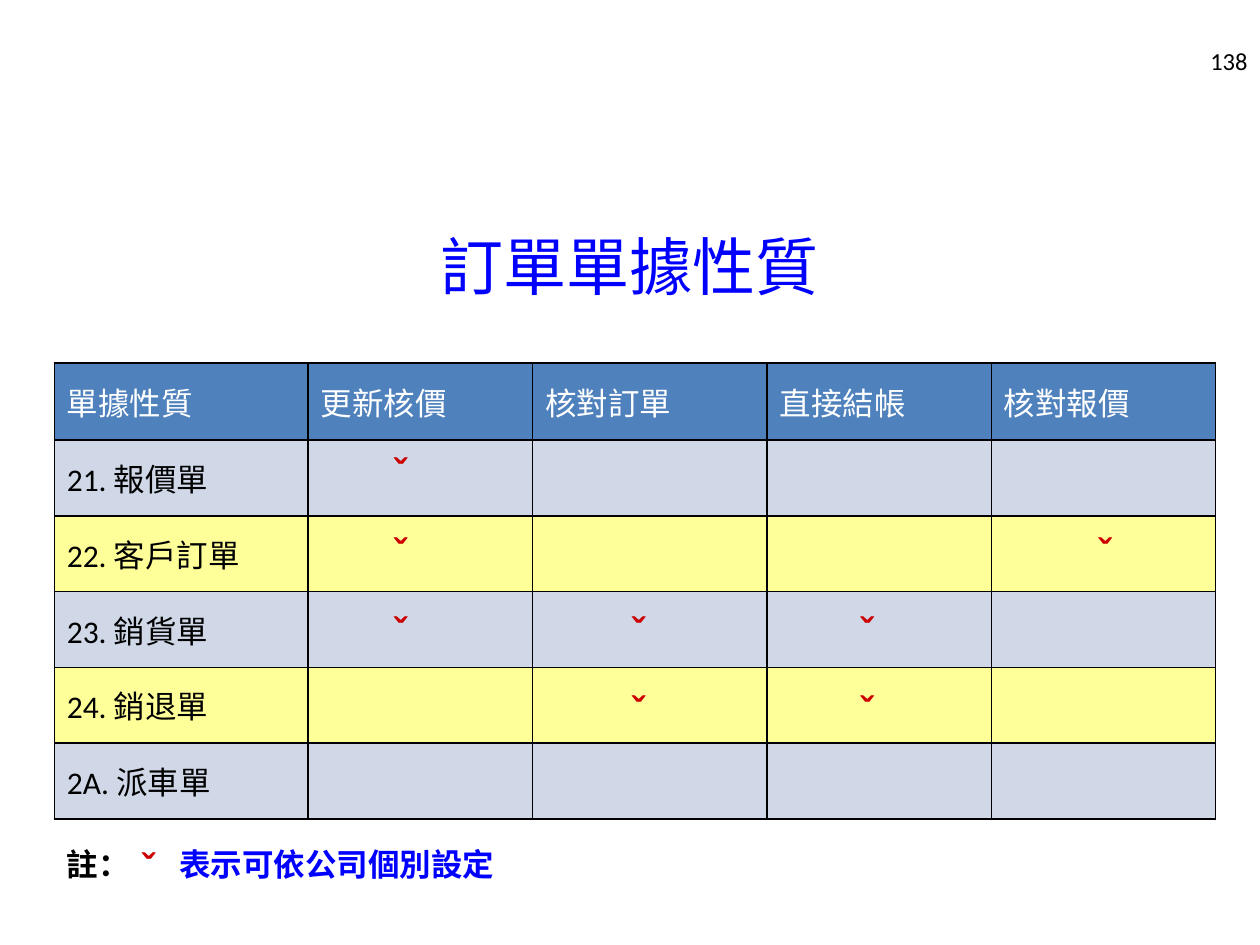
import pptx
import pptx.util
import pptx.dml.color
import pptx.enum.text
import pptx.oxml
import pptx.oxml.ns

Pt = pptx.util.Pt
RGBColor = pptx.dml.color.RGBColor
PP_ALIGN = pptx.enum.text.PP_ALIGN
MSO_ANCHOR = pptx.enum.text.MSO_ANCHOR

BLACK = RGBColor(0x00, 0x00, 0x00)
WHITE = RGBColor(0xFF, 0xFF, 0xFF)
BLUE = RGBColor(0x00, 0x00, 0xFF)
RED = RGBColor(0xCC, 0x00, 0x00)
HEADER_FILL = RGBColor(0x4F, 0x81, 0xBD)
ROW_FILLS = [RGBColor(0xD0, 0xD8, 0xE8), RGBColor(0xFF, 0xFF, 0x99)]


def style(paragraph, name, size, color, bold=False):
    paragraph.font.name = name
    paragraph.font.size = Pt(size)
    paragraph.font.color.rgb = color
    paragraph.font.bold = bold


def add_tick(left, top):
    tick = slide.shapes.add_textbox(Pt(left), Pt(top), Pt(34), Pt(34)).text_frame
    tick.word_wrap = True
    tick.text = "ˇ"
    style(tick.paragraphs[0], "Arial", 22, RED, True)


prs = pptx.Presentation()
prs.slide_width = Pt(720)
prs.slide_height = Pt(540)
slide = prs.slides.add_slide(prs.slide_layouts[5])

page_number = slide.shapes.add_textbox(Pt(552), Pt(20), Pt(168), Pt(29)).text_frame
page_number.word_wrap = True
page_number.vertical_anchor = MSO_ANCHOR.MIDDLE
page_number.text = "138"
page_number.paragraphs[0].alignment = PP_ALIGN.RIGHT
style(page_number.paragraphs[0], "Calibri", 14, BLACK)

title = slide.shapes.title
title.left, title.top, title.width, title.height = Pt(16.5), Pt(106.5), Pt(686), Pt(90)
title.text_frame.text = "訂單單據性質"
title.text_frame.vertical_anchor = MSO_ANCHOR.MIDDLE
title.text_frame.paragraphs[0].alignment = PP_ALIGN.CENTER
style(title.text_frame.paragraphs[0], "Times New Roman", 36, BLUE)

headers = ["單據性質", "更新核價", "核對訂單", "直接結帳", "核對報價"]
documents = ["21. 報價單", "22. 客戶訂單", "23. 銷貨單", "24. 銷退單", "2A. 派車單"]
column_widths = [145, 128.25, 134, 128.25, 128.25]
row_heights = [44] + [43.3] * len(documents)
settings = slide.shapes.add_table(
    len(row_heights), len(headers), Pt(31), Pt(207.5),
    Pt(sum(column_widths)), Pt(sum(row_heights))).table
for column, width in zip(settings.columns, column_widths):
    column.width = Pt(width)
for row, height in zip(settings.rows, row_heights):
    row.height = Pt(height)

for r, document in enumerate(["", *documents]):
    for c, header in enumerate(headers):
        cell = settings.cell(r, c)
        cell.vertical_anchor = MSO_ANCHOR.MIDDLE
        paragraph = cell.text_frame.paragraphs[0]
        if r == 0:
            cell.text = header
            paragraph.alignment = PP_ALIGN.CENTER
        elif c == 0:
            cell.text = document
        style(paragraph, "Times New Roman", 18, BLACK if r else WHITE, True)
        borders = cell._tc.get_or_add_tcPr()
        for edge in ("lnL", "lnR", "lnT", "lnB"):
            borders.append(pptx.oxml.parse_xml(
                f'<a:{edge} {pptx.oxml.ns.nsdecls("a")} w="12700"><a:solidFill>'
                f'<a:srgbClr val="{BLACK}"/></a:solidFill></a:{edge}>'))
        cell.fill.solid()
        cell.fill.fore_color.rgb = ROW_FILLS[(r - 1) % 2] if r else HEADER_FILL

tick_lefts = [218, 354, 484.5, 620.5]
ticked_columns = [[0], [0, 3], [0, 1, 2], [1, 2]]
for r, ticked in enumerate(ticked_columns):
    for c in ticked:
        add_tick(tick_lefts[c], 252.7 + 45.3 * r)

note = slide.shapes.add_textbox(Pt(31), Pt(479.5), Pt(448), Pt(29)).text_frame
note.word_wrap = True
legend = note.paragraphs[0]
legend._p.get_or_add_pPr().append(pptx.oxml.parse_xml(
    f'<a:tabLst {pptx.oxml.ns.nsdecls("a")}><a:tab pos="{Pt(64.5)}" algn="l"/></a:tabLst>'))
legend.font.name = "Times New Roman"
legend.font.size = Pt(18)
legend.font.bold = True
for text, color in [("註：\t", BLACK), ("表示可依公司個別設定", BLUE)]:
    run = legend.add_run()
    run.text = text
    run.font.color.rgb = color
add_tick(74, 478)

prs.save("out.pptx")
